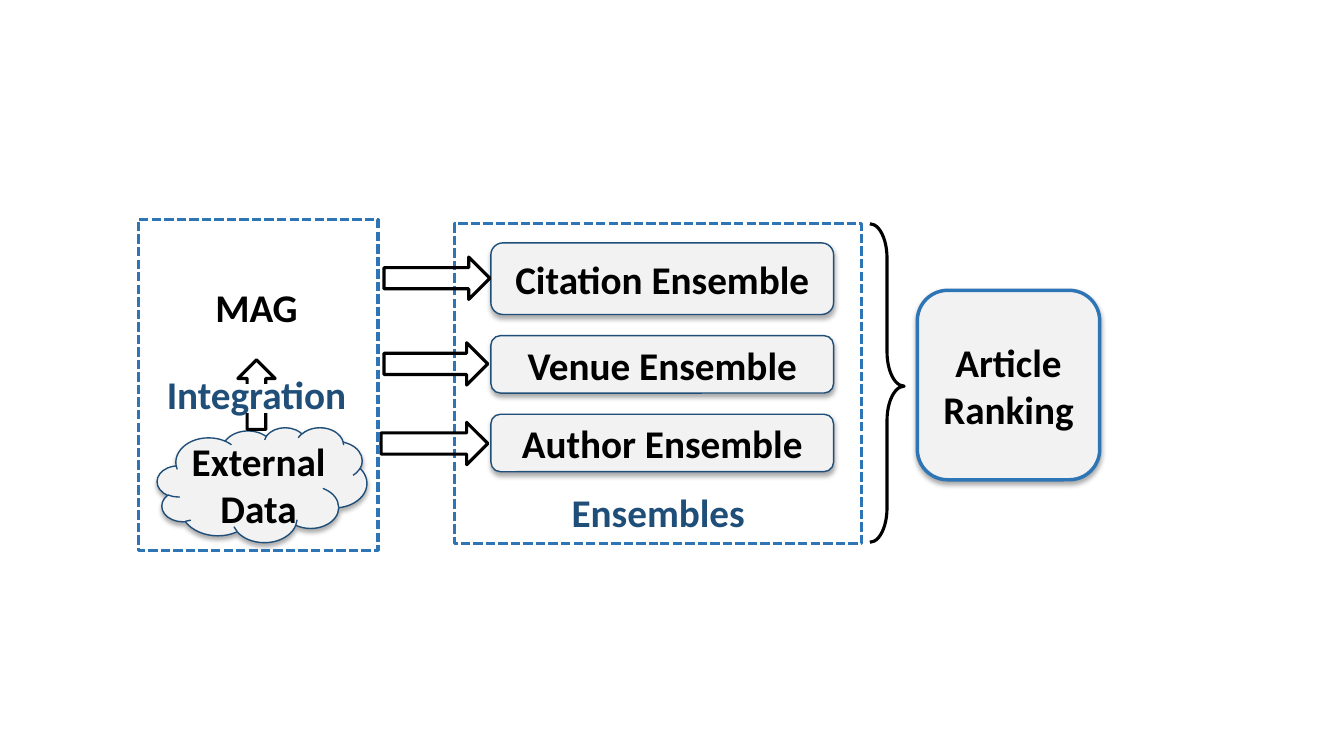
"""Draw the flow from data through three ensembles to an article ranking."""
from dataclasses import dataclass
from typing import Optional

from lxml import etree
from pptx import Presentation
from pptx import util as u
from pptx.dml.color import RGBColor
from pptx.enum import dml, shapes, text
from pptx.oxml import ns

CELL = u.Inches(0.1)
COLS, ROWS = 133.33, 75

BLACK = RGBColor(0x00, 0x00, 0x00)
WHITE = RGBColor(0xFF, 0xFF, 0xFF)
GREY = RGBColor(0xF2, 0xF2, 0xF2)
BLUE = RGBColor(0x2E, 0x75, 0xB6)
NAVY = RGBColor(0x1F, 0x4E, 0x79)

KIND = shapes.MSO_SHAPE
FONT = {"name": "Calibri", "size": u.Pt(28), "bold": True}


@dataclass
class Look:
    fill: Optional[RGBColor]
    line: RGBColor
    width: float
    dash: bool = False
    shade: bool = False


@dataclass
class Item:
    kind: Optional[shapes.MSO_SHAPE]
    col: float
    row: float
    wide: float
    high: float
    look: Optional[Look] = None
    words: str = ""
    ink: RGBColor = BLACK
    turn: float = 0
    bends: tuple[float, ...] = ()
    wrap: bool = True


FRAME = Look(None, BLUE, 2.25, dash=True)
SOFT = Look(GREY, NAVY, 1, shade=True)
GOAL = Look(GREY, BLUE, 2.5, shade=True)
BARE = Look(None, BLACK, 2.25)
MASK = Look(WHITE, WHITE, 1)

BOX_COL, BOX_WIDE = 48.7, 34
BOXES = [("Citation", 24.1, 7.1), ("Venue", 33.3, 5.7), ("Author", 41.1, 5.7)]
ARROWS = [(38.1, 25.5, 10.5), (38.1, 34, 10.3), (37.8, 41.9, 10.6)]

ITEMS = [
    Item(KIND.RECTANGLE, 45.1, 22.2, 40.4, 31.7, FRAME),
    Item(KIND.CLOUD, 15.6, 42.4, 20.8, 11.4, SOFT),
    Item(None, 20.3, 27.6, 10.3, 5.7, words="MAG"),
    *(Item(KIND.ROUNDED_RECTANGLE, BOX_COL, row, BOX_WIDE, high, SOFT, f"{name} Ensemble")
      for name, row, high in BOXES),
    Item(None, 55.6, 48, 19.4, 5.7, words="Ensembles", ink=NAVY, wrap=False),
    *(Item(KIND.RIGHT_ARROW, col, row, wide, 4.2, BARE) for col, row, wide in ARROWS),
    Item(KIND.RECTANGLE, 13.7, 21.8, 23.8, 32.8, FRAME),
    Item(KIND.RIGHT_ARROW, 22, 37.3, 6.9, 3.7, BARE, turn=270),
    Item(KIND.RECTANGLE, 24.1, 38.2, 2.8, 2.7, MASK),
    Item(None, 15.3, 36.2, 20.3, 5.7, words="Integration", ink=NAVY),
    Item(KIND.RIGHT_BRACE, 86.3, 22.2, 3.4, 31.6, BARE, bends=(1, 0.51)),
    Item(KIND.ROUNDED_RECTANGLE, 91, 28.8, 18.1, 18.8, GOAL, "Article Ranking"),
    Item(None, 17.9, 42.9, 15.5, 10.4, words="External Data"),
]


def span(count: float) -> int:
    """Turn a count of grid cells into a length."""
    return round(count * CELL)


def apply(part, values: dict) -> None:
    """Set each named value on a part."""
    for key, value in values.items():
        setattr(part, key, value)


def shade(shape) -> None:
    """Cast a soft shadow straight down."""
    effects = shape._element.spPr.find(ns.qn("a:effectLst"))
    outer = etree.SubElement(effects, ns.qn("a:outerShdw"), blurRad=str(u.Pt(3.5)),
                             dist=str(u.Pt(2.2)), dir="5400000", algn="ctr", rotWithShape="0")
    tint = etree.SubElement(outer, ns.qn("a:srgbClr"), val=str(BLACK))
    etree.SubElement(tint, ns.qn("a:alpha"), val="32000")


def paint(shape, look: Look) -> None:
    """Give a shape its fill, line and shadow."""
    shape.shadow.inherit = False
    if look.fill is None:
        shape.fill.background()
    else:
        shape.fill.solid()
        shape.fill.fore_color.rgb = look.fill
    shape.line.color.rgb = look.line
    shape.line.width = u.Pt(look.width)
    if look.dash:
        shape.line.dash_style = dml.MSO_LINE.SQUARE_DOT
    if look.shade:
        shade(shape)


def write(shape, item: Item) -> None:
    """Put centred words in a shape or text box."""
    frame = shape.text_frame
    form = {"word_wrap": item.wrap}
    if item.kind is None:
        form["auto_size"] = text.MSO_AUTO_SIZE.SHAPE_TO_FIT_TEXT
    else:
        form["vertical_anchor"] = text.MSO_ANCHOR.MIDDLE
    apply(frame, form)
    para = frame.paragraphs[0]
    para.alignment = text.PP_ALIGN.CENTER
    run = para.add_run()
    run.text = item.words
    apply(run.font, FONT)
    run.font.color.rgb = item.ink


def draw(slide, item: Item) -> None:
    """Add one item to the slide."""
    area = [span(size) for size in (item.col, item.row, item.wide, item.high)]
    if item.kind is None:
        shape = slide.shapes.add_textbox(*area)
    else:
        shape = slide.shapes.add_shape(item.kind, *area)
        paint(shape, item.look)
        shape.rotation = item.turn
        for place, bend in enumerate(item.bends):
            shape.adjustments[place] = bend
    if item.words:
        write(shape, item)


def main() -> None:
    """Build the deck and save it."""
    deck = Presentation()
    apply(deck, {"slide_width": span(COLS), "slide_height": span(ROWS)})
    slide = deck.slides.add_slide(deck.slide_layouts[6])
    for item in ITEMS:
        draw(slide, item)
    deck.save("out.pptx")


if __name__ == "__main__":
    main()
